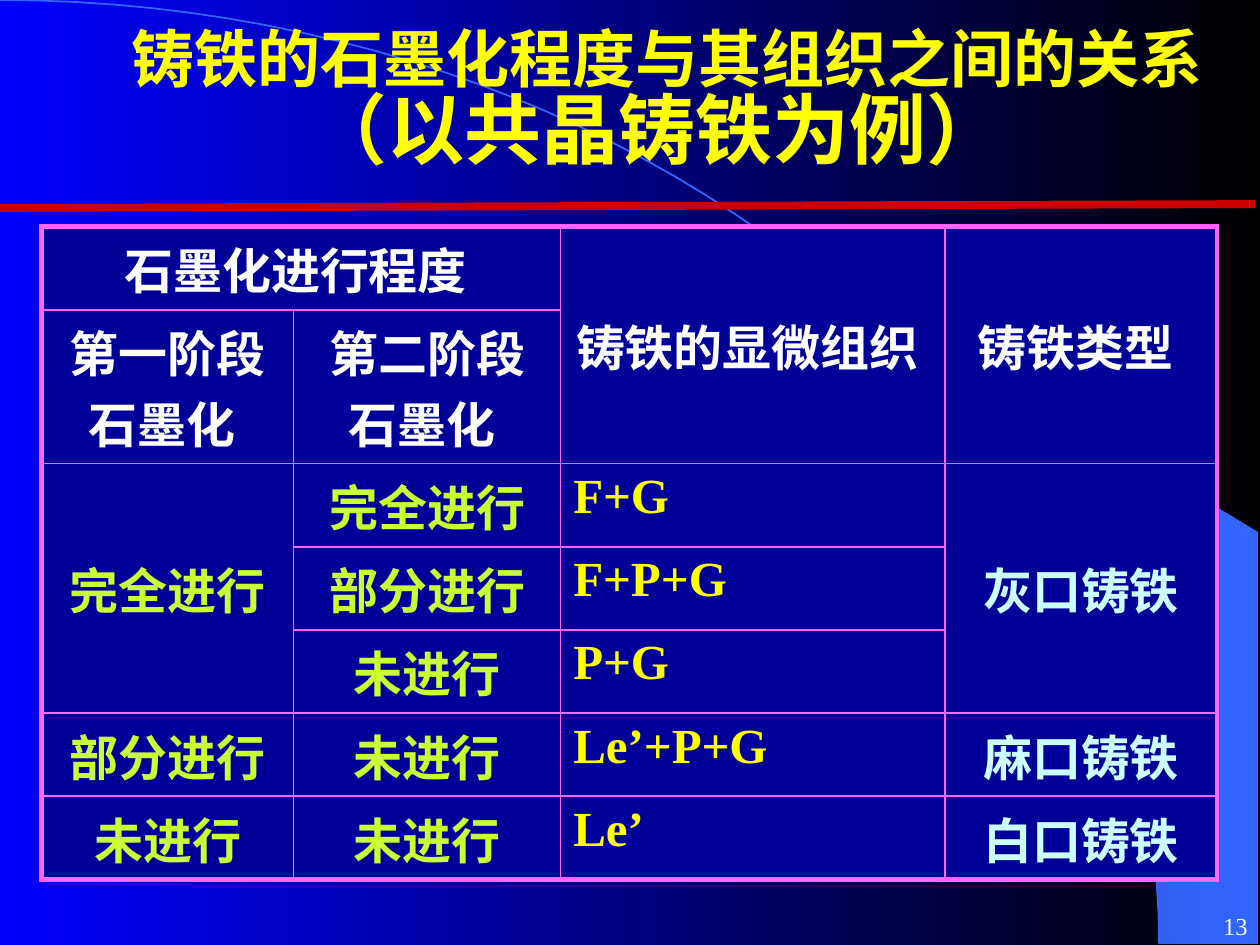
import math
from dataclasses import dataclass

import pptx
import pptx.dml.color
import pptx.enum.shapes
import pptx.enum.text
import pptx.oxml
import pptx.oxml.ns
import pptx.util
from pptx.dml.color import RGBColor
from pptx.util import Inches

BLUE = RGBColor(0x00, 0x00, 0xFF)
BLACK = RGBColor(0x00, 0x00, 0x00)
ARC_BLUE = RGBColor(0x33, 0x66, 0xFF)
WEDGE_BLUE = RGBColor(0x24, 0x49, 0xB6)
NAVY = RGBColor(0x00, 0x00, 0x99)
PINK = RGBColor(0xFF, 0x66, 0xFF)
RED = RGBColor(0xCC, 0x00, 0x00)
WHITE = RGBColor(0xFF, 0xFF, 0xFF)
YELLOW = RGBColor(0xFF, 0xFF, 0x00)
LIME = RGBColor(0xCC, 0xFF, 0x33)
ICE = RGBColor(0xCC, 0xFF, 0xFF)

SERIF = "Times New Roman"
CENTER = pptx.enum.text.PP_ALIGN.CENTER
JUSTIFY = pptx.enum.text.PP_ALIGN.JUSTIFY
RIGHT = pptx.enum.text.PP_ALIGN.RIGHT
MIDDLE = pptx.enum.text.MSO_ANCHOR.MIDDLE
TOP = pptx.enum.text.MSO_ANCHOR.TOP

COLUMN_WIDTHS = (2, 2.12, 3.05, 2.16)
ROW_HEIGHTS = (0.66, 1.22, 0.66, 0.66, 0.66, 0.66, 0.66)
ARC_WIDTH, ARC_HEIGHT = 9.2, 7.49


@dataclass(frozen=True)
class Entry:
    row: int
    column: int
    text: str
    color: RGBColor
    row_span: int = 1
    column_span: int = 1


HEADINGS = [
    Entry(0, 0, "石墨化进行程度 ", WHITE, column_span=2),
    Entry(0, 2, "铸铁的显微组织 ", WHITE, row_span=2),
    Entry(0, 3, "铸铁类型 ", WHITE, row_span=2),
    Entry(1, 0, "第一阶段石墨化 ", WHITE),
    Entry(1, 1, "第二阶段石墨化 ", WHITE),
]
FIRST_STAGE = [
    Entry(2, 0, "完全进行", LIME, row_span=3),
    Entry(5, 0, "部分进行", LIME),
    Entry(6, 0, "未进行", LIME),
]
SECOND_STAGE = [
    Entry(row, 1, text, LIME)
    for row, text in enumerate(("完全进行", "部分进行", "未进行", "未进行", "未进行"), 2)
]
STRUCTURES = [
    Entry(row, 2, text, YELLOW)
    for row, text in enumerate(("F+G", "F+P+G", "P+G", "Le’+P+G", "Le’"), 2)
]
IRON_TYPES = [
    Entry(2, 3, "灰口铸铁", ICE, row_span=3),
    Entry(5, 3, "麻口铸铁", ICE),
    Entry(6, 3, "白口铸铁", ICE),
]


def format_run(run, size: float, name: str, color: RGBColor, bold: bool = False) -> None:
    run.font.size = pptx.util.Pt(size)
    run.font.name = name
    run.font.color.rgb = color
    run.font.bold = bold


def fill_gradient(fill, start: RGBColor, end: RGBColor) -> None:
    fill.gradient()
    fill.gradient_angle = 0
    for stop, color, position in zip(fill.gradient_stops, (start, end), (0, 1)):
        stop.color.rgb = color
        stop.position = position


def arc_points(start_x: float) -> list[tuple[float, float]]:
    """Points along the quarter ellipse from start_x to its right end."""
    start = math.asin(start_x / ARC_WIDTH)
    steps = 48
    angles = [start + (math.pi / 2 - start) * step / steps for step in range(steps + 1)]
    return [(ARC_WIDTH * math.sin(a), ARC_HEIGHT * (1 - math.cos(a))) for a in angles]


def add_outline(slide, points: list[tuple[float, float]], close: bool):
    (x, y), *rest = [(Inches(x), Inches(y)) for x, y in points]
    builder = slide.shapes.build_freeform(x, y)
    builder.add_line_segments(rest, close=close)
    shape = builder.convert_to_shape()
    shape.shadow.inherit = False
    return shape


def add_background(slide) -> None:
    fill_gradient(slide.background.fill, BLUE, BLACK)
    wedge = add_outline(slide, arc_points(5.89) + [(9.99, 7.49), (9.99, 4.23)], True)
    fill_gradient(wedge.fill, WEDGE_BLUE, ARC_BLUE)
    wedge.line.fill.background()
    arc = add_outline(slide, arc_points(0), False)
    arc.fill.background()
    arc.line.color.rgb = ARC_BLUE
    arc.line.width = pptx.util.Pt(1)


def add_text_box(slide, left: float, top: float, width: float, height: float):
    box = slide.shapes.add_textbox(Inches(left), Inches(top), Inches(width), Inches(height))
    box.text_frame.word_wrap = True
    box.text_frame.vertical_anchor = MIDDLE
    return box.text_frame.paragraphs[0]


def add_title(slide) -> None:
    paragraph = add_text_box(slide, 0.39, 0.16, 9.8, 1.31)
    paragraph.text = "铸铁的石墨化程度与其组织之间的关系\v（以共晶铸铁为例） "
    paragraph.alignment = CENTER
    paragraph.line_spacing = 0.85
    for run, size in zip(paragraph.runs, (36, 44)):
        format_run(run, size, "Arial", YELLOW, bold=True)


def add_slide_number(slide) -> None:
    paragraph = add_text_box(slide, 9.58, 7.2, 0.42, 0.3)
    paragraph.text = "13"
    paragraph.alignment = RIGHT
    format_run(paragraph.runs[0], 14, SERIF, WHITE)


def set_borders(cell, entry: Entry) -> None:
    """Thick lines on the table's outer edges, thin ones inside."""
    outer = {
        "lnL": entry.column == 0,
        "lnR": entry.column + entry.column_span == len(COLUMN_WIDTHS),
        "lnT": entry.row == 0,
        "lnB": entry.row + entry.row_span == len(ROW_HEIGHTS),
    }
    properties = cell._tc.get_or_add_tcPr()
    for index, (tag, is_outer) in enumerate(outer.items()):
        width = pptx.util.Pt(3 if is_outer else 1)
        border = pptx.oxml.parse_xml(
            f'<a:{tag} {pptx.oxml.ns.nsdecls("a")} w="{width}"><a:solidFill>'
            f'<a:srgbClr val="{PINK}"/></a:solidFill></a:{tag}>'
        )
        properties.insert(index, border)


def fill_cell(table, entry: Entry) -> None:
    cell = table.cell(entry.row, entry.column)
    if entry.row_span * entry.column_span > 1:
        last_row = entry.row + entry.row_span - 1
        cell.merge(table.cell(last_row, entry.column + entry.column_span - 1))
    cell.fill.solid()
    cell.fill.fore_color.rgb = NAVY
    cell.vertical_anchor = MIDDLE if entry.row_span > 1 else TOP
    set_borders(cell, entry)
    paragraph = cell.text_frame.paragraphs[0]
    paragraph.text = entry.text
    paragraph.alignment = JUSTIFY if entry.color == YELLOW else CENTER
    format_run(paragraph.runs[0], 28, SERIF, entry.color, bold=True)


def add_graphitization_table(slide) -> None:
    table = slide.shapes.add_table(
        len(ROW_HEIGHTS), len(COLUMN_WIDTHS), Inches(0.33), Inches(1.8),
        Inches(sum(COLUMN_WIDTHS)), Inches(sum(ROW_HEIGHTS)),
    ).table
    table.first_row = table.horz_banding = False
    for column, width in zip(table.columns, COLUMN_WIDTHS):
        column.width = Inches(width)
    for row, height in zip(table.rows, ROW_HEIGHTS):
        row.height = Inches(height)
    for entry in HEADINGS + FIRST_STAGE + SECOND_STAGE + STRUCTURES + IRON_TYPES:
        fill_cell(table, entry)


def add_divider(slide) -> None:
    line = slide.shapes.add_connector(
        pptx.enum.shapes.MSO_CONNECTOR.STRAIGHT,
        Inches(-0.04), Inches(1.65), Inches(9.96), Inches(1.62),
    )
    line.line.color.rgb = RED
    line.line.width = pptx.util.Pt(4.5)
    effects = pptx.oxml.parse_xml(f'<a:effectLst {pptx.oxml.ns.nsdecls("a")}/>')
    line._element.spPr.append(effects)


def main() -> None:
    presentation = pptx.Presentation()
    presentation.slide_width = Inches(10)
    presentation.slide_height = Inches(7.5)
    slide = presentation.slides.add_slide(presentation.slide_layouts[6])
    add_background(slide)
    add_slide_number(slide)
    add_title(slide)
    add_graphitization_table(slide)
    add_divider(slide)
    presentation.save("out.pptx")


if __name__ == "__main__":
    main()
